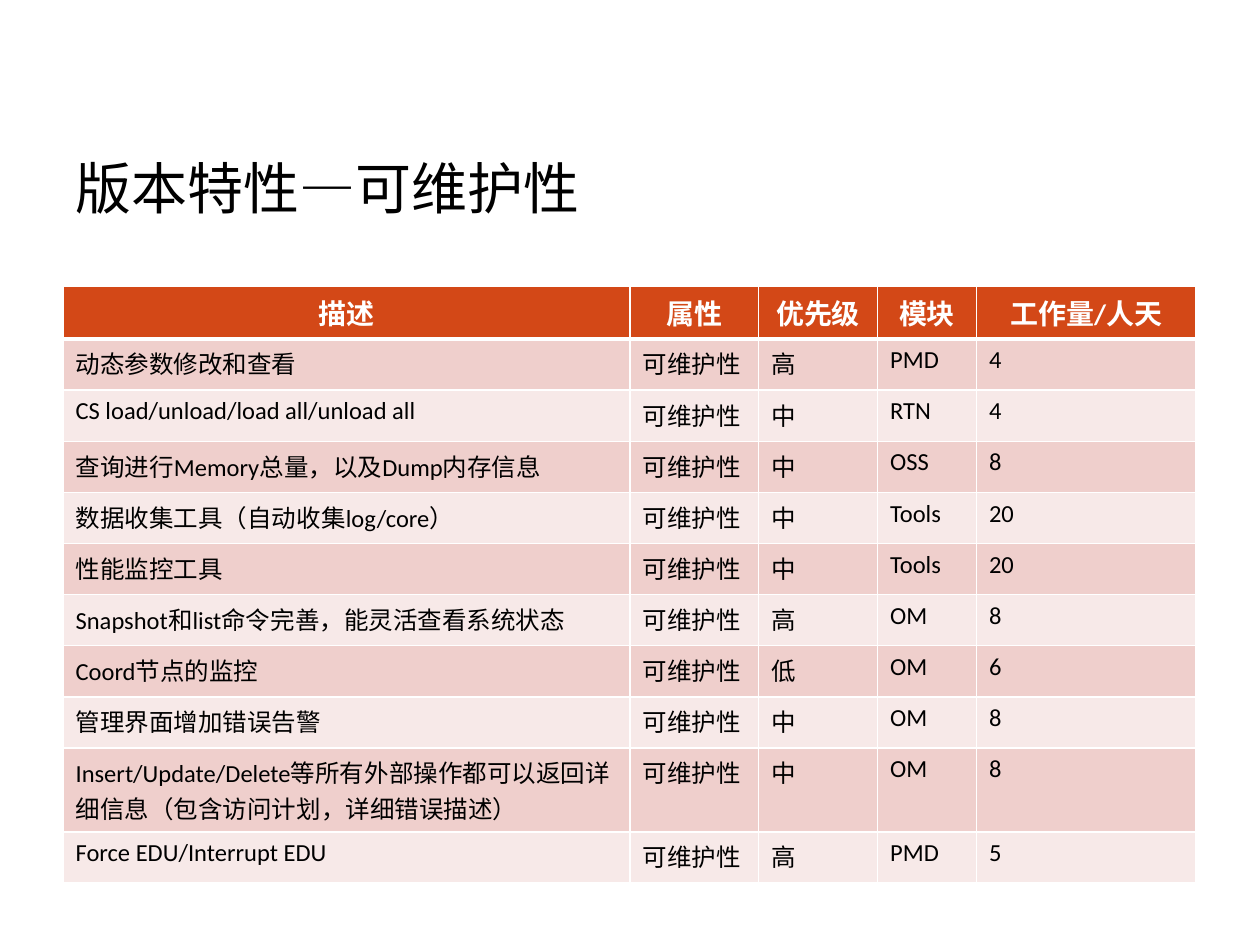
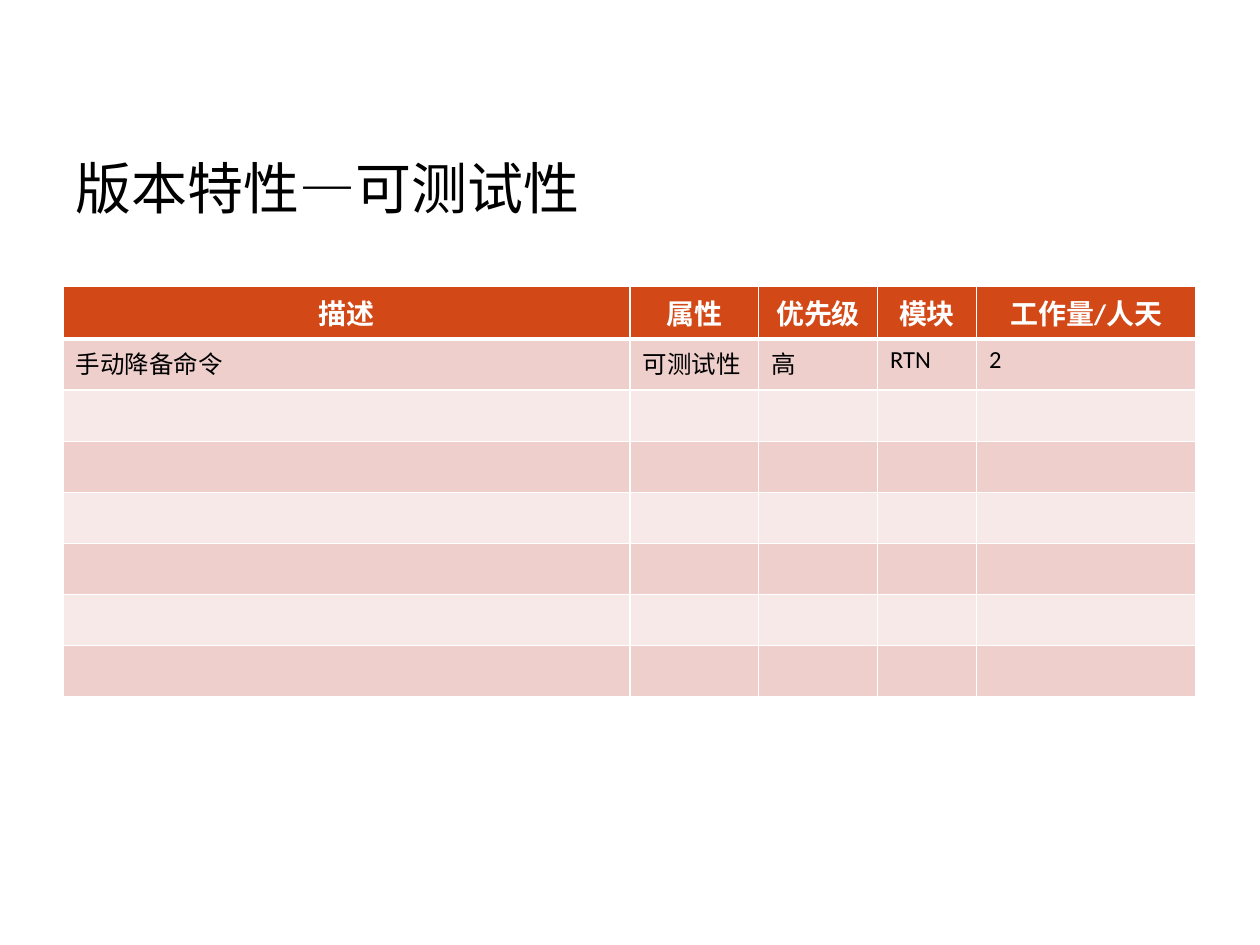
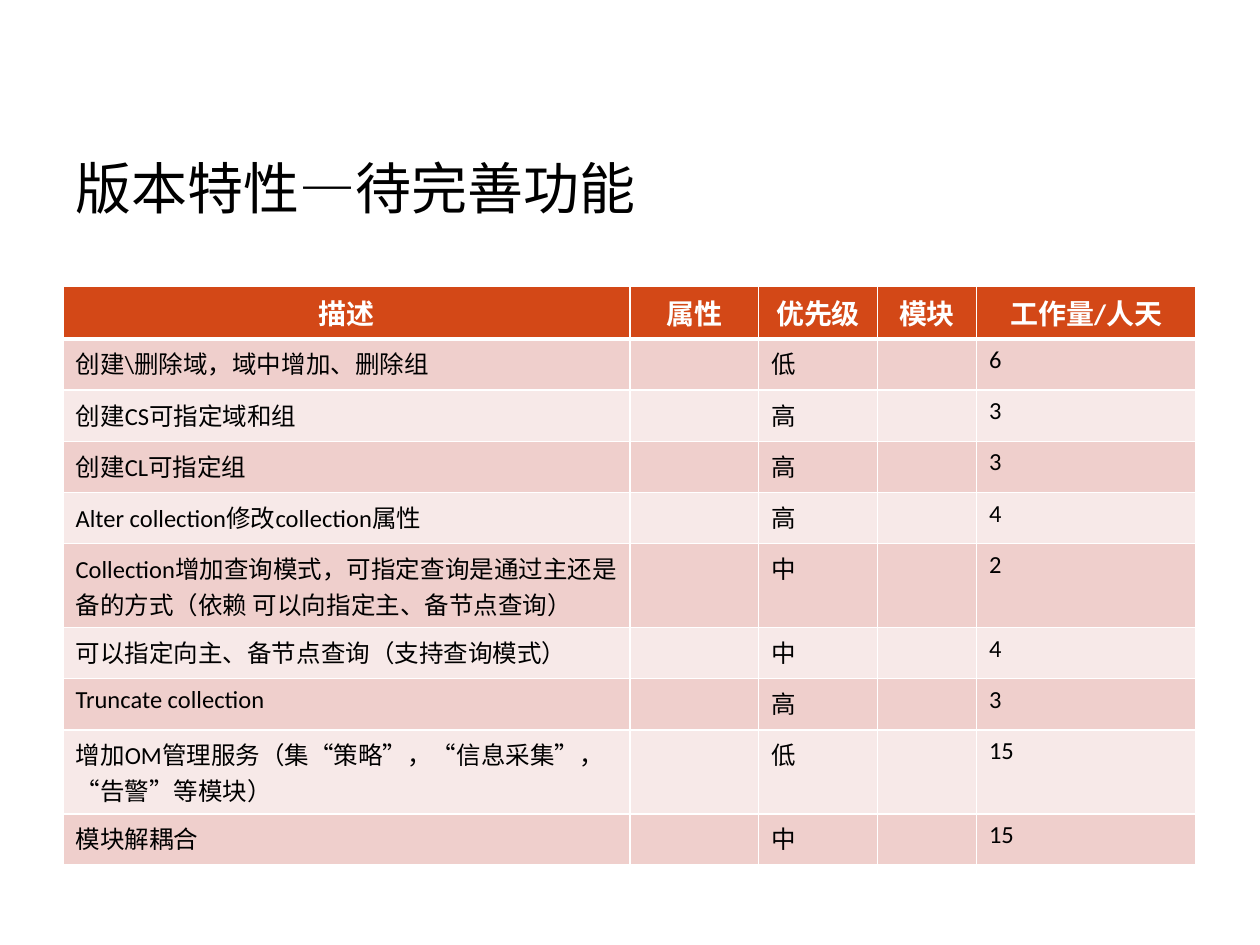
import dataclasses

import pptx
import pptx.dml.color
import pptx.enum.text
import pptx.oxml
import pptx.oxml.ns
import pptx.util

Pt = pptx.util.Pt
Align = pptx.enum.text.PP_ALIGN


@dataclasses.dataclass(frozen=True)
class Theme:
    title_font: str = "Arial"
    table_font: str = "Calibri"
    title_size: int = 32
    header_size: int = 16
    body_size: int = 14
    ink: str = "000000"
    paper: str = "FFFFFF"
    header_fill: str = "D34817"
    band_fills: tuple = ("EFCFCC", "F7E9E8")
    thin_line: int = 1
    thick_line: int = 3


THEME = Theme()

# Layout, in points
LEFT = 36
WIDTH = 648
TITLE_TOP, TITLE_HEIGHT = 62, 90
TABLE_TOP = 163.5
ROW_HEIGHT = 29.2
COLUMN_WIDTHS = (324, 73.5, 68, 56.5, 125.5)

HEADINGS = ("描述", "属性", "优先级", "模块", "工作量/人天")
EMPTY_ROW = ("",) * len(HEADINGS)


# Content: one row per feature, in the order of the headings
def with_attribute(attribute, features):
    return [(name, attribute, *rest) for name, *rest in features]


def without_module(features):
    return [(name, "", priority, "", effort) for name, priority, effort in features]


MAINTAINABILITY = with_attribute("可维护性", [
    ("动态参数修改和查看", "高", "PMD", "4"),
    ("CS load/unload/load all/unload all", "中", "RTN", "4"),
    ("查询进行Memory总量，以及Dump内存信息", "中", "OSS", "8"),
    ("数据收集工具（自动收集log/core）", "中", "Tools", "20"),
    ("性能监控工具", "中", "Tools", "20"),
    ("Snapshot和list命令完善，能灵活查看系统状态", "高", "OM", "8"),
    ("Coord节点的监控", "低", "OM", "6"),
    ("管理界面增加错误告警", "中", "OM", "8"),
    ("Insert/Update/Delete等所有外部操作都可以返回详细信息（包含访问计划，详细错误描述）",
     "中", "OM", "8"),
    ("Force EDU/Interrupt EDU", "高", "PMD", "5"),
])

TESTABILITY = with_attribute("可测试性", [("手动降备命令", "高", "RTN", "2")])
TESTABILITY += [EMPTY_ROW] * 6

IMPROVEMENTS = without_module([
    ("创建\\删除域，域中增加、删除组", "低", "6"),
    ("创建CS可指定域和组", "高", "3"),
    ("创建CL可指定组", "高", "3"),
    ("Alter collection修改collection属性", "高", "4"),
    ("Collection增加查询模式，可指定查询是通过主还是备的方式（依赖 可以向指定主、备节点查询）",
     "中", "2"),
    ("可以指定向主、备节点查询（支持查询模式）", "中", "4"),
    ("Truncate collection", "高", "3"),
    ("增加OM管理服务（集“策略”，“信息采集”，“告警”等模块）", "低", "15"),
    ("模块解耦合", "中", "15"),
])

PAGES = (
    ("版本特性—可维护性", MAINTAINABILITY),
    ("版本特性—可测试性", TESTABILITY),
    ("版本特性—待完善功能", IMPROVEMENTS),
)


def style_paragraph(para, font_name, size, color, align, bold=False):
    para.alignment = align
    para.font.name = font_name
    para.font.size = Pt(size)
    para.font.bold = bold
    para.font.color.rgb = pptx.dml.color.RGBColor.from_string(color)


def add_title(page, text):
    title = page.shapes.title
    title.left, title.top = Pt(LEFT), Pt(TITLE_TOP)
    title.width, title.height = Pt(WIDTH), Pt(TITLE_HEIGHT)
    title.text_frame.text = text
    title.text_frame.vertical_anchor = pptx.enum.text.MSO_ANCHOR.MIDDLE
    style_paragraph(title.text_frame.paragraphs[0], THEME.title_font,
                    THEME.title_size, THEME.ink, Align.LEFT)


def set_borders(cell, top, bottom):
    """Draw the four cell edges; the schema wants left, right, top, bottom."""
    properties = cell._tc.get_or_add_tcPr()
    widths = {"L": THEME.thin_line, "R": THEME.thin_line, "T": top, "B": bottom}
    for side, width in widths.items():
        properties.append(pptx.oxml.parse_xml(
            f'<a:ln{side} {pptx.oxml.ns.nsdecls("a")} w="{Pt(width)}">'
            f'<a:solidFill><a:srgbClr val="{THEME.paper}"/></a:solidFill>'
            f'</a:ln{side}>'))


def fill_cell(cell, text, row_index):
    is_header = row_index == 0
    set_borders(cell,
                top=THEME.thick_line if row_index == 1 else THEME.thin_line,
                bottom=THEME.thick_line if is_header else THEME.thin_line)
    cell.fill.solid()
    fill = THEME.header_fill if is_header else THEME.band_fills[(row_index - 1) % 2]
    cell.fill.fore_color.rgb = pptx.dml.color.RGBColor.from_string(fill)
    cell.text = text
    para = cell.text_frame.paragraphs[0]
    if is_header:
        style_paragraph(para, THEME.table_font, THEME.header_size,
                        THEME.paper, Align.CENTER, bold=True)
    else:
        style_paragraph(para, THEME.table_font, THEME.body_size,
                        THEME.ink, Align.LEFT)


def add_feature_table(page, features):
    rows = [HEADINGS, *features]
    table = page.shapes.add_table(
        len(rows), len(HEADINGS), Pt(LEFT), Pt(TABLE_TOP),
        Pt(sum(COLUMN_WIDTHS)), Pt(ROW_HEIGHT * len(rows))).table
    table.horz_banding = False
    for column, width in zip(table.columns, COLUMN_WIDTHS):
        column.width = Pt(width)
    for row_index, values in enumerate(rows):
        table.rows[row_index].height = Pt(ROW_HEIGHT)
        for column_index, text in enumerate(values):
            fill_cell(table.cell(row_index, column_index), text, row_index)


def main():
    deck = pptx.Presentation()
    deck.slide_width, deck.slide_height = Pt(720), Pt(540)
    title_only = deck.slide_layouts[5]
    for title, features in PAGES:
        page = deck.slides.add_slide(title_only)
        add_title(page, title)
        add_feature_table(page, features)
    deck.save("out.pptx")


if __name__ == "__main__":
    main()
